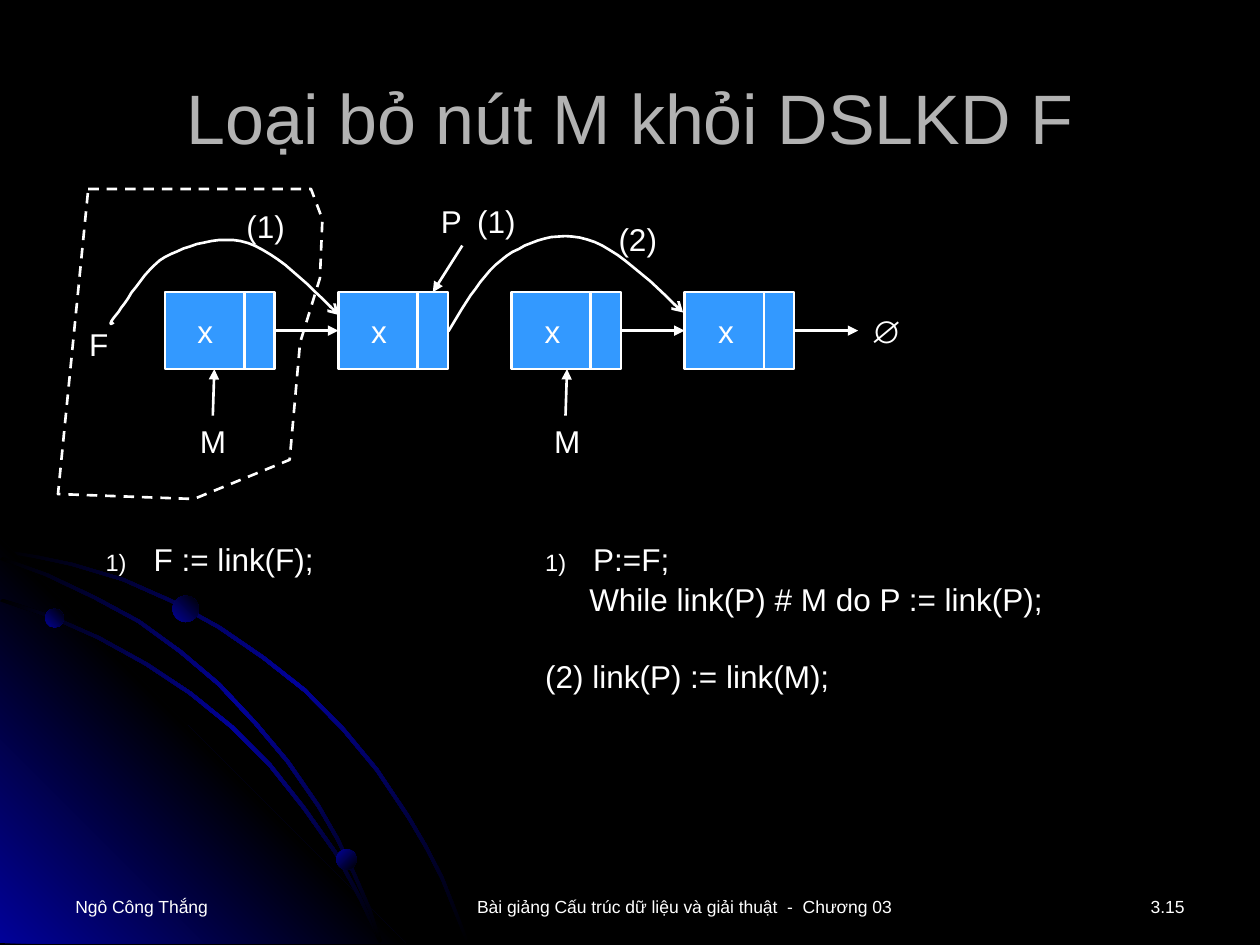
from lxml.etree import SubElement
from pptx import Presentation
from pptx.dml.color import RGBColor
from pptx.enum.dml import MSO_LINE
from pptx.enum.shapes import MSO_CONNECTOR, MSO_SHAPE
from pptx.enum.text import MSO_ANCHOR, PP_ALIGN
from pptx.oxml import parse_xml
from pptx.oxml.ns import nsdecls, qn
from pptx.util import Cm, Pt

HUES = {"back": "000000", "glow": "010199", "cell": "3399FF", "ink": "FFFFFF", "title": "B2B2B2"}
INK = RGBColor.from_string(HUES["ink"])

deck = Presentation()
deck.slide_width, deck.slide_height = Cm(25.4), Cm(19.05)
slide = deck.slides.add_slide(deck.slide_layouts[6])
slide.background.fill.solid()
slide.background.fill.fore_color.rgb = RGBColor.from_string(HUES["back"])
shapes = slide.shapes


def write(place, lines, size=18, align=PP_ALIGN.LEFT, hue="ink"):
    box = shapes.add_textbox(*[Cm(n) for n in place])
    frame = box.text_frame
    frame.word_wrap = True
    for row, (text, mark, left, hang, gap) in enumerate(lines):
        para = frame.paragraphs[0] if row == 0 else frame.add_paragraph()
        para.text = text
        para.alignment = align
        if row:
            para.space_before = Pt(gap)
        if left:
            props = para._p.get_or_add_pPr()
            props.set("marL", str(Cm(left)))
            props.set("indent", str(Cm(hang)))
            if mark:
                tint = SubElement(props, qn("a:buClr"))
                SubElement(tint, qn("a:srgbClr"), val=HUES["ink"])
                SubElement(props, qn("a:buSzPct"), val="75000")
                SubElement(props, qn("a:buAutoNum"), type="arabicParenR")
        para.font.name = "Arial"
        para.font.size = Pt(size)
        para.font.color.rgb = RGBColor.from_string(HUES[hue])
    return frame


def trace(points, close):
    grid = [(x * 100, y * 100) for x, y in points]
    pen = shapes.build_freeform(*grid[0], scale=Cm(0.01))
    pen.add_line_segments(grid[1:], close=close)
    shape = pen.convert_to_shape()
    shape.shadow.inherit = False
    shape.fill.background()
    shape.line.color.rgb = INK
    shape.line.width = Pt(1.5)
    return shape


arcs = [
    [(0, 11.13), (0.71, 11.25), (1.42, 11.4), (2.46, 11.71), (3.43, 12.14), (4.39, 12.67),
     (5.28, 13.28), (6.12, 13.94), (6.88, 14.71), (7.57, 15.54), (8.2, 16.48), (8.56, 17.09),
     (8.89, 17.73), (9.14, 18.36), (9.4, 19.02)],
    [(0, 12.12), (0.99, 12.45), (1.96, 12.88), (2.92, 13.41), (3.81, 14), (4.65, 14.68),
     (5.41, 15.44), (6.1, 16.31), (6.73, 17.2), (7.24, 18.14), (7.65, 19.02)],
    [(0, 11.28), (0.91, 11.61), (1.88, 12.07), (2.77, 12.55), (3.61, 13.16), (4.39, 13.82),
     (5.13, 14.61), (5.77, 15.37), (6.4, 16.28), (6.78, 16.94), (7.11, 17.63), (7.42, 18.34),
     (7.65, 19.02)],
]
bands = [arc + [(x + 0.05, y - 0.05) for x, y in reversed(arc)] for arc in arcs]
wedge = [(8.18, 19.02), (0, 19.02), (0, 10.85)]
decor = []
for band in [bands[0], wedge, *bands[1:]]:
    if band is wedge:
        decor.append((trace(band, True), ["glow", "back", "glow"], 315))
    else:
        decor.append((trace(band, True), ["back", "glow", "back"], 45))
for x, y, size, angle in [(0.91, 12.27, 0.38, 315), (6.78, 17.12, 0.41, 45), (3.48, 12.01, 0.53, 315)]:
    ball = shapes.add_shape(MSO_SHAPE.OVAL, Cm(x), Cm(y), Cm(size), Cm(size))
    ball.shadow.inherit = False
    decor.append((ball, ["glow", "back"], angle))
for shape, hues, angle in decor:
    shape.line.fill.background()
    shape.fill.solid()
    props = shape._element.spPr
    stops = "".join(
        f'<a:gs pos="{100000 * n // (len(hues) - 1)}"><a:srgbClr val="{HUES[hue]}"/></a:gs>'
        for n, hue in enumerate(hues))
    blend = parse_xml(f'<a:gradFill {nsdecls("a")}><a:gsLst>{stops}</a:gsLst>'
                      f'<a:lin ang="{angle * 60000}" scaled="0"/></a:gradFill>')
    props.replace(props.find(qn("a:solidFill")), blend)

title = write((1.27, 0.76, 22.86, 3.18), [("Loại bỏ nút M khỏi DSLKD F", False, 0, 0, 0)],
              40, PP_ALIGN.CENTER, "title")
title.vertical_anchor = MSO_ANCHOR.MIDDLE
for left, width, text, align in [
    (1.27, 5.92, "Ngô Công Thắng", PP_ALIGN.LEFT),
    (7.52, 12.55, "Bài giảng Cấu trúc dữ liệu và giải thuật  -  Chương 03", PP_ALIGN.CENTER),
    (20.42, 3.71, "3.15", PP_ALIGN.RIGHT),
]:
    write((left, 17.93, width, 0.76), [(text, False, 0, 0, 0)], 10, align)

TOP, HIGH, PITCH = 5.89, 1.55, 3.49
nodes = []
for n in range(4):
    left = 3.33 + n * PITCH
    node = []
    for x, width in [(left, 1.6), (left + 1.6, 0.61)]:
        cell = shapes.add_shape(MSO_SHAPE.RECTANGLE, Cm(x), Cm(TOP), Cm(width), Cm(HIGH))
        cell.shadow.inherit = False
        cell.fill.solid()
        cell.fill.fore_color.rgb = RGBColor.from_string(HUES["cell"])
        cell.line.color.rgb = INK
        cell.line.width = Pt(1.5)
        node.append(cell)
    nodes.append(node)
    write((3.73 + n * 3.5, 6.17, 0.99, 1.02), [("x", False, 0, 0, 0)])

for text, x, y, width in [
    ("F", 1.55, 6.43, 0.99), ("∅", 17.3, 6.17, 0.99),
    ("M", 3.78, 8.38, 0.99), ("M", 10.92, 8.38, 0.99),
    ("(1)", 4.72, 4.04, 1.4), ("P", 8.64, 3.94, 1.4),
    ("(1)", 9.37, 3.94, 1.4), ("(2)", 12.22, 4.32, 1.4),
]:
    write((x, y, width, 1.02), [(text, False, 0, 0, 0)])

MID = TOP + HIGH / 2
for ends, start, stop in [
    ((5.54, MID, 6.82, MID), (nodes[0][1], 3), (nodes[1][0], 1)),
    ((12.52, MID, 13.8, MID), (nodes[2][1], 3), (nodes[3][0], 1)),
    ((16.01, MID, 17.3, MID), (nodes[3][1], 3), None),
    ((4.29, 8.38, 4.32, 7.44), None, None),
    ((11.4, 8.38, 11.43, 7.44), None, None),
    ((9.32, 4.95, 8.73, TOP), None, (nodes[1][1], 0)),
]:
    link = shapes.add_connector(MSO_CONNECTOR.STRAIGHT, *[Cm(n) for n in ends])
    if start:
        link.begin_connect(*start)
    if stop:
        link.end_connect(*stop)
    link.line.color.rgb = INK
    link.line.width = Pt(1.5)
    SubElement(link.line._get_or_add_ln(), qn("a:tailEnd"), type="triangle")
    SubElement(link._element.spPr, qn("a:effectLst"))

for knots in [
    [(2.29, 6.5), (2.24, 6.53), (2.16, 6.58), (2.34, 6.35), (2.51, 6.15), (2.9, 5.44),
     (3.33, 5.18), (3.78, 4.95), (4.42, 4.72), (5, 4.9), (5.59, 5.11), (6.2, 5.72), (6.83, 6.35)],
    [(9.04, 6.68), (9.4, 6.07), (9.75, 5.49), (10.21, 5.16), (10.69, 4.85), (11.23, 4.65),
     (11.84, 4.83), (12.42, 5), (13.11, 5.66), (13.77, 6.3)],
]:
    points = [knots[0]]
    for n in range(0, len(knots) - 1, 3):
        for step in range(1, 13):
            t = step / 12
            parts = [(1 - t) ** 3, 3 * t * (1 - t) ** 2, 3 * t * t * (1 - t), t ** 3]
            points.append(tuple(sum(w * knot[axis] for w, knot in zip(parts, knots[n:n + 4]))
                                for axis in (0, 1)))
    curve = trace(points, False)
    SubElement(curve.line._get_or_add_ln(), qn("a:tailEnd"), type="arrow")

write((1.88, 10.77, 6.71, 1.02), [("F := link(F);", True, 0.97, -0.97, 0)])
write((10.74, 10.77, 13.06, 3.3), [
    ("P:=F;", True, 0.97, -0.97, 0),
    ("While link(P) # M do P := link(P);", False, 0.89, 0, 1),
    ("(2) link(P) := link(M);", False, 0.97, -0.97, 22.6),
])

fence = trace([(1.78, 3.81), (6.27, 3.81), (6.5, 4.42), (6.45, 5.61), (6.05, 6.91),
               (5.84, 9.27), (3.91, 10.06), (1.17, 9.96)], True)
fence.line.dash_style = MSO_LINE.DASH

deck.save("out.pptx")
